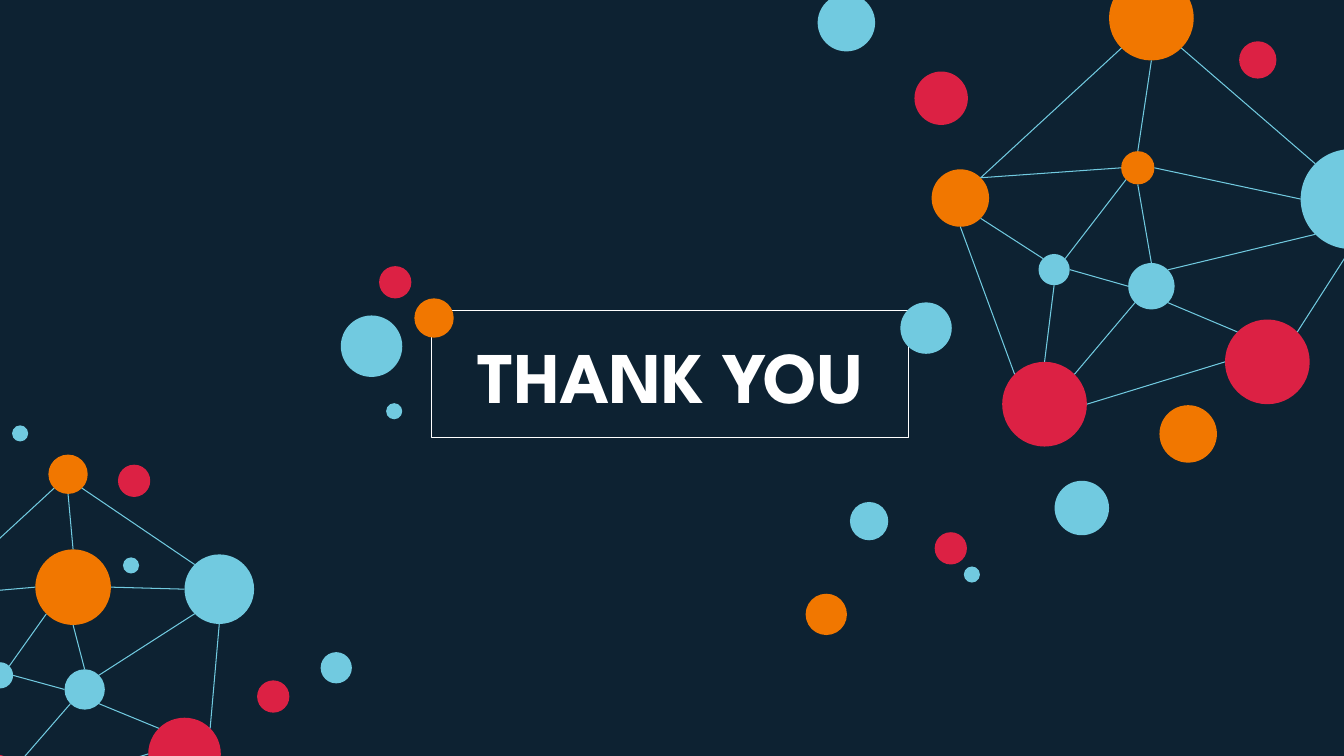
"""Build the closing slide with its networks of dots."""
from math import cos, radians, sin

from pptx import Presentation
from pptx.dml.color import RGBColor
from pptx.enum.shapes import MSO_CONNECTOR, MSO_SHAPE
from pptx.enum.text import MSO_ANCHOR, PP_ALIGN
from pptx.oxml.ns import qn
from pptx.util import Inches, Pt
from lxml.etree import SubElement

NAVY = RGBColor(0x0D, 0x22, 0x32)
WHITE = RGBColor(0xFF, 0xFF, 0xFF)
GOLD = RGBColor(0xF1, 0x77, 0x00)
ROSE = RGBColor(0xDC, 0x21, 0x44)
SKY = RGBColor(0x71, 0xCA, 0xE0)

TITLE = "THANK YOU"
FONT = "League Spartan"
FRAME = (4.28, 3.08, 4.73, 1.26)
LABEL = (4.44, 3.23, 4.42, 0.98)
SIDES = ("n", "nw", "w", "sw", "s", "se", "e", "ne")

RIGHT = {
    "nodes": {
        "top": (11, -0.24, 0.84, GOLD),
        "base": (9.94, 3.59, 0.84, ROSE),
        "hub": (11.19, 2.61, 0.46, SKY),
        "left": (9.24, 1.68, 0.57, GOLD),
        "edge": (12.9, 1.48, 0.99, SKY),
        "mid": (11.12, 1.5, 0.33, GOLD),
        "foot": (12.15, 3.17, 0.84, ROSE),
        "dot": (10.3, 2.52, 0.31, SKY),
    },
    "links": [
        ("top", "se", "edge", "nw"), ("hub", "ne", "edge", "sw"),
        ("foot", "ne", "edge", "s"), ("base", "ne", "hub", "sw"),
        ("left", "ne", "top", "sw"), ("mid", "n", "top", "s"),
        ("edge", "w", "mid", "e"), ("mid", "s", "hub", "n"),
        ("hub", "se", "foot", "nw"), ("left", "ne", "mid", "w"),
        ("left", "s", "base", "nw"), ("left", "se", "dot", "nw"),
        ("dot", "ne", "mid", "sw"), ("dot", "e", "hub", "w"),
        ("base", "n", "dot", "s"), ("base", "e", "foot", "w"),
    ],
    "loose": [
        (12.29, 0.41, 0.37, ROSE), (11.5, 4.02, 0.57, GOLD),
        (9.07, 0.71, 0.53, ROSE), (8.11, -0.06, 0.57, SKY),
        (10.46, 4.77, 0.54, SKY), (8.93, 3, 0.51, SKY),
    ],
}
LEFT = {
    "nodes": {
        "cap": (0.48, 4.51, 0.39, GOLD),
        "base": (-0.44, 7.48, 0.72, ROSE),
        "hub": (0.64, 6.64, 0.4, SKY),
        "side": (1.83, 5.5, 0.69, SKY),
        "core": (0.35, 5.45, 0.75, GOLD),
        "foot": (1.47, 7.12, 0.72, ROSE),
        "rim": (-0.13, 6.57, 0.26, SKY),
        "far": (-0.62, 5.91, 0, None),
    },
    "links": [
        ("cap", "se", "side", "nw"), ("hub", "ne", "side", "sw"),
        ("foot", "ne", "side", "s"), ("base", "ne", "hub", "sw"),
        ("far", "n", "cap", "sw"), ("core", "n", "cap", "s"),
        ("side", "w", "core", "e"), ("core", "s", "hub", "n"),
        ("hub", "se", "foot", "nw"), ("far", "n", "core", "w"),
        ("rim", "ne", "core", "sw"), ("rim", "e", "hub", "w"),
        ("base", "e", "foot", "w"),
    ],
    "loose": [
        (2.55, 6.75, 0.32, ROSE), (3.18, 6.47, 0.31, SKY),
        (1.17, 4.61, 0.32, ROSE), (0.12, 4.22, 0.16, SKY),
        (1.22, 5.53, 0.16, SKY),
    ],
}
NEAR = {"nodes": {}, "links": [], "loose": [
    (4.11, 2.96, 0.39, GOLD), (3.76, 2.64, 0.32, ROSE),
    (3.83, 4, 0.16, SKY), (3.38, 3.13, 0.61, SKY),
]}
LOW = {"nodes": {}, "links": [], "loose": [
    (7.99, 5.89, 0.41, GOLD), (9.27, 5.28, 0.32, ROSE),
    (9.56, 5.62, 0.16, SKY), (8.43, 4.98, 0.38, SKY),
]}


def add_dot(shapes, left, top, size, color):
    """Draw one filled circle."""
    dot = shapes.add_shape(MSO_SHAPE.OVAL, *map(Inches, (left, top, size, size)))
    dot.shadow.inherit = False
    dot.fill.solid()
    dot.fill.fore_color.rgb = color
    dot.line.fill.background()


def rim_point(node, side):
    """Return the point on a circle's rim in a compass direction."""
    left, top, size, _ = node
    turn = radians(45 * SIDES.index(side))
    half = size / 2
    return (Inches(left + half - half * sin(turn)),
            Inches(top + half - half * cos(turn)))


def add_net(slide, net):
    """Draw a group of circles and the lines that link them."""
    shapes = slide.shapes.add_group_shape().shapes
    nodes = net["nodes"]
    for dot in [*nodes.values(), *net["loose"]]:
        if dot[2]:
            add_dot(shapes, *dot)
    for start, out, end, into in net["links"]:
        link = shapes.add_connector(
            MSO_CONNECTOR.STRAIGHT,
            *rim_point(nodes[start], out), *rim_point(nodes[end], into))
        link.line.color.rgb = SKY
        link.line.width = Pt(0.75)
        SubElement(link._element.spPr, qn("a:effectLst"))


def add_title(slide):
    """Set the title and draw the frame around it."""
    title = slide.shapes.title
    title.left, title.top, title.width, title.height = map(Inches, LABEL)
    text = title.text_frame
    text.word_wrap = True
    text.vertical_anchor = MSO_ANCHOR.TOP
    line = text.paragraphs[0]
    line.alignment = PP_ALIGN.CENTER
    run = line.add_run()
    run.text = TITLE
    run.font.name = FONT
    run.font.size = Pt(52)
    run.font.bold = True
    run.font.color.rgb = WHITE
    frame = slide.shapes.add_shape(MSO_SHAPE.RECTANGLE, *map(Inches, FRAME))
    frame.shadow.inherit = False
    frame.fill.background()
    frame.line.color.rgb = WHITE
    frame.line.width = Pt(1)


def main():
    """Build and save the slide."""
    deck = Presentation()
    deck.slide_width, deck.slide_height = Inches(13.33), Inches(7.5)
    slide = deck.slides.add_slide(deck.slide_layouts[5])
    slide.background.fill.solid()
    slide.background.fill.fore_color.rgb = NAVY
    add_title(slide)
    for net in (RIGHT, LEFT, NEAR, LOW):
        add_net(slide, net)
    deck.save("out.pptx")


if __name__ == "__main__":
    main()
